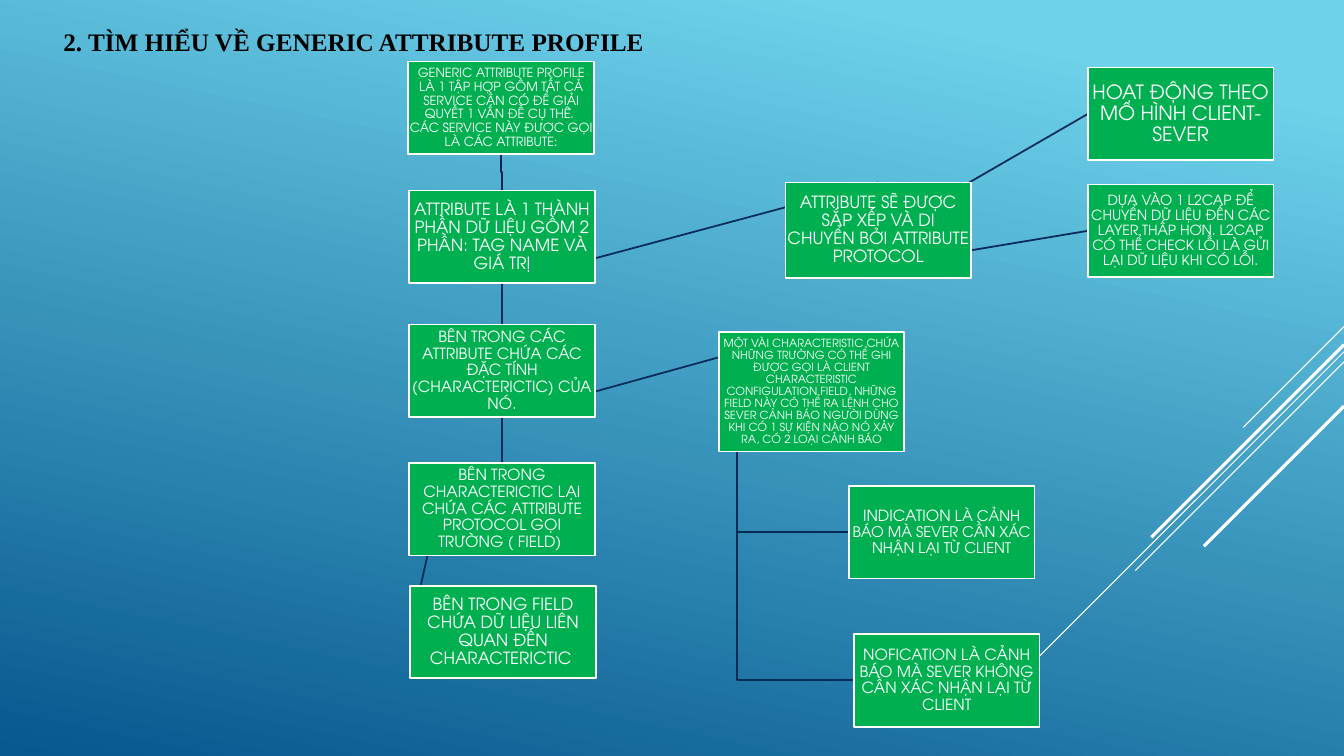
from typing import NamedTuple

from lxml import etree
from pptx import Presentation
from pptx import util as u
from pptx.dml.color import RGBColor
from pptx.enum import shapes, text
from pptx.oxml.ns import qn

WHITE, BLACK, GREEN, NAVY, DARK_NAVY = "FFFFFF", "000000", "00B050", "052B58", "04264E"
BODY_FONT, TITLE_FONT = "TeX Gyre Adventor", "Times New Roman"
BRANCH_INDENT = 0.18
LANE = 0.05
VOWELS = "AÂĂEÊIOÔƠUƯY"
TONED_VOWELS = {
    "\u0300": "ÀẦẰÈỀÌÒỒỜÙỪỲ",
    "\u0301": "ÁẤẮÉẾÍÓỐỚÚỨÝ",
    "\u0309": "ẢẨẲẺỂỈỎỔỞỦỬỶ",
    "\u0303": "ÃẪẴẼỄĨÕỖỠŨỮỸ",
    "\u0323": "ẠẬẶẸỆỊỌỘỢỤỰỴ",
}
SEPARATE_TONES = str.maketrans({
    toned: vowel + tone
    for tone, row in TONED_VOWELS.items()
    for toned, vowel in zip(row, VOWELS)})


class Point(NamedTuple):
    x: float
    y: float


class Box(NamedTuple):
    left: float
    top: float
    words: str
    size: float
    height: float = 0.92
    width: float = 1.84
    lead: str = ""
    lead_size: float = 11

    @property
    def top_middle(self) -> Point:
        return Point(self.left + self.width / 2, self.top)

    @property
    def bottom_middle(self) -> Point:
        return Point(self.left + self.width / 2, self.top + self.height)

    @property
    def left_middle(self) -> Point:
        return Point(self.left, self.top + self.height / 2)

    @property
    def branch(self) -> Point:
        return Point(self.left + BRANCH_INDENT, self.top + self.height)


class Ray(NamedTuple):
    start_y: float
    run: float
    weight: float


def color(code: str) -> RGBColor:
    return RGBColor.from_string(code)


def emu(point: Point) -> tuple[int, int]:
    return u.Inches(point.x), u.Inches(point.y)


def add_run(paragraph, words: str, *, size: float, font: str = BODY_FONT,
            ink: str = WHITE, bold: bool = False) -> None:
    run = paragraph.add_run()
    run.text = words.translate(SEPARATE_TONES)
    run.font.name = font
    run.font.size = u.Pt(size)
    run.font.bold = bold
    run.font.color.rgb = color(ink)


def draw_line(start: Point, end: Point, ink: str, weight: float) -> None:
    line = slide.shapes.add_connector(
        shapes.MSO_CONNECTOR.STRAIGHT, *emu(start), *emu(end))
    line.line.color.rgb = color(ink)
    line.line.width = u.Pt(weight)
    etree.SubElement(line._element.spPr, qn("a:effectLst"))


def finish_route(builder, ink: str) -> None:
    route = builder.convert_to_shape()
    route.shadow.inherit = False
    route.fill.background()
    route.line.color.rgb = color(ink)
    route.line.width = u.Pt(1.25)


def draw_elbow(start: Point, end: Point) -> None:
    builder = slide.shapes.build_freeform(*emu(start))
    builder.add_line_segments([emu(Point(start.x, end.y)), emu(end)], close=False)
    finish_route(builder, NAVY)


def draw_step(start: Point, end: Point, ink: str) -> None:
    middle = (start.y + end.y) / 2
    builder = slide.shapes.build_freeform(*emu(Point(start.x - LANE, start.y)))
    builder.move_to(*emu(start))
    builder.add_line_segments(
        [emu(Point(start.x, middle)), emu(Point(end.x, middle)), emu(end)], close=False)
    builder.move_to(*emu(Point(start.x + LANE, end.y)))
    finish_route(builder, ink)


def draw_box(box: Box) -> None:
    card = slide.shapes.add_shape(
        shapes.MSO_SHAPE.RECTANGLE, u.Inches(box.left), u.Inches(box.top),
        u.Inches(box.width), u.Inches(box.height))
    card.shadow.inherit = False
    card.fill.solid()
    card.fill.fore_color.rgb = color(GREEN)
    card.line.color.rgb = color(WHITE)
    card.line.width = u.Pt(1.25)
    frame = card.text_frame
    frame.word_wrap = True
    frame.vertical_anchor = text.MSO_ANCHOR.MIDDLE
    frame.margin_left = frame.margin_right = u.Inches(0.01)
    frame.margin_top = frame.margin_bottom = u.Inches(0.01)
    paragraph = frame.paragraphs[0]
    paragraph.alignment = text.PP_ALIGN.CENTER
    paragraph.line_spacing = 0.9
    if box.lead:
        add_run(paragraph, box.lead, size=box.lead_size)
    add_run(paragraph, box.words, size=box.size)


profile = Box(4.05, 0.61, "GENERIC ATTRIBUTE PROFILE LÀ 1 TẬP HỢP GỒM TẤT CẢ SERVICE CẦN CÓ ĐỂ "
              "GIẢI QUYẾT 1 VẤN ĐỀ CỤ THÊ.\u0309  CÁC SERVICE NÀY ĐƯỢC GỌI LÀ CÁC ATTRIBUTE:", 9)
attribute = Box(4.06, 1.89, "ATTRIBUTE LÀ 1 THÀNH PHẦN DỮ LIỆU GỒM 2 PHẦN: "
                "TAG NAME VÀ GIÁ TRỊ", 12)
characteristic = Box(4.06, 3.22, "BÊN TRONG CÁC ATTRIBUTE CHỨA CÁC ĐẶC TÍNH "
                     "(CHARACTERICTIC) CỦA NÓ.", 11)
field = Box(4.06, 4.59, "BÊN TRONG CHARACTERICTIC LẠI CHỨA CÁC ATTRIBUTE PROTOCOL "
            "GỌI TRƯỜNG ( FIELD) ", 11)
field_data = Box(4.07, 5.81, "BÊN TRONG FIELD CHỨA DỮ LIỆU LIÊN QUAN ĐẾN CHARACTERICTIC ", 12)
configuration = Box(7.13, 3.29, "MỘT VÀI CHARACTERISTIC CHỨA NHỮNG TRƯỜNG CÓ THỂ GHI ĐƯỢC GỌI LÀ "
                    "CLIENT CHARACTERISTIC CONFIGULATION FIELD, NHỮNG FIELD NÀY CÓ THỂ RA LỆNH "
                    "CHO SEVER CẢNH BÁO NGƯỜI DÙNG KHI CÓ 1 SỰ KIỆN NÀO NÓ XẢY RA, "
                    "CÓ 2 LOẠI CẢNH BÁO", 8, height=1.19)
notification = Box(8.47, 6.29, "NOFICATION LÀ CẢNH BÁO MÀ SEVER KHÔNG CẦN XÁC NHẬN "
                   "LẠI TỪ CLIENT", 11)
indication = Box(8.42, 4.82, " LÀ CẢNH BÁO MÀ SEVER CẦN XÁC NHẬN LẠI TỪ CLIENT", 10.5,
                 lead="INDICATION")
protocol = Box(7.79, 1.81, "ATTRIBUTE SẼ ĐƯỢC SẮP XẾP VÀ DI CHUYỂN BỞI ATTRIBUTE PROTOCOL", 12,
               height=0.95)
l2cap = Box(10.79, 1.83, "DỰA VÀO 1 L2CAP ĐỂ CHUYỂN DỮ LIỆU ĐẾN CÁC LAYER THẤP HƠN. L2CAP CÓ THỂ "
            "CHECK LỖI LÀ GỬI LẠI DỮ LIỆU KHI CÓ LỖI.", 10)
client_server = Box(10.79, 0.67, "HOẠT ĐỘNG THEO MÔ HÌNH CLIENT- SEVER", 14)

boxes = [profile, attribute, characteristic, field, field_data, configuration,
         notification, indication, protocol, l2cap, client_server]
main_chain = [profile, attribute, characteristic, field]
side_links = [(attribute, protocol), (characteristic, configuration)]
branch_links = [(protocol, client_server), (protocol, l2cap), (field, field_data)]
rays = [Ray(3.24, 1, 0.75), Ray(3.49, 3.26, 0.75), Ray(3.59, 2.07, 0.75),
        Ray(3.42, 1.91, 2.25), Ray(4.03, 1.39, 2.25)]

deck = Presentation()
deck.slide_width, deck.slide_height = u.Inches(13.33), u.Inches(7.5)
slide = deck.slides.add_slide(deck.slide_layouts[6])

backdrop = slide.background.fill
backdrop.gradient()
backdrop.gradient_angle = 258
for stop, (position, shade) in zip(backdrop.gradient_stops, [(0.1, "6ED2EB"), (1, "06588E")]):
    stop.position = position
    stop.color.rgb = color(shade)

for ray in rays:
    draw_line(Point(13.33, ray.start_y), Point(13.33 - ray.run, ray.start_y + ray.run),
              WHITE, ray.weight)
for parent, child in branch_links:
    draw_line(parent.branch, child.left_middle, NAVY, 1.25)
for parent, child in side_links:
    draw_line(parent.bottom_middle, child.top_middle, NAVY, 1.25)
for warning in (indication, notification):
    draw_elbow(configuration.branch, warning.left_middle)
for upper, lower in zip(main_chain, main_chain[1:]):
    draw_step(upper.bottom_middle, lower.top_middle, DARK_NAVY if upper is profile else NAVY)
for box in boxes:
    draw_box(box)

heading = slide.shapes.add_textbox(u.Inches(0.53), u.Inches(0.21), u.Inches(6.02), u.Inches(0.4))
heading.text_frame.word_wrap = False
heading.text_frame.auto_size = text.MSO_AUTO_SIZE.SHAPE_TO_FIT_TEXT
add_run(heading.text_frame.paragraphs[0], "2. TÌM HIỂU VỀ GENERIC ATTRIBUTE PROFILE",
        size=18, font=TITLE_FONT, ink=BLACK, bold=True)

deck.save("out.pptx")
